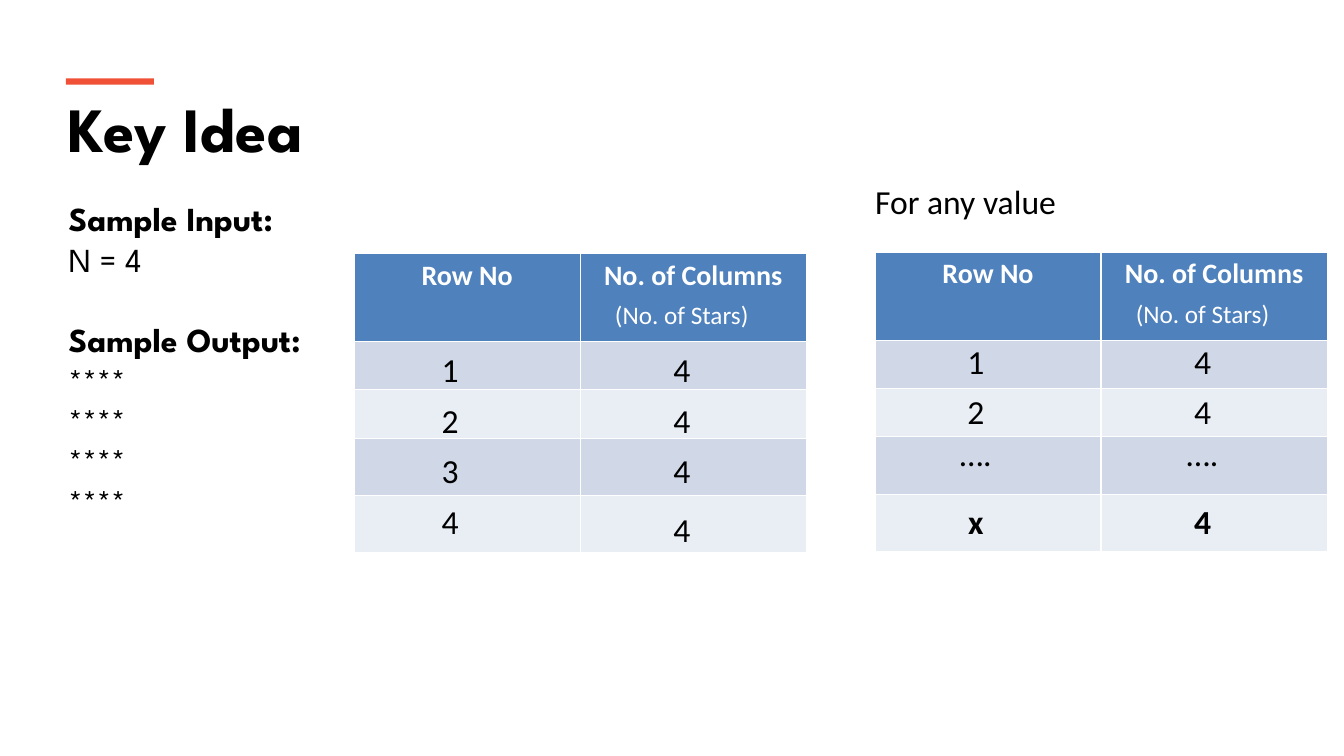
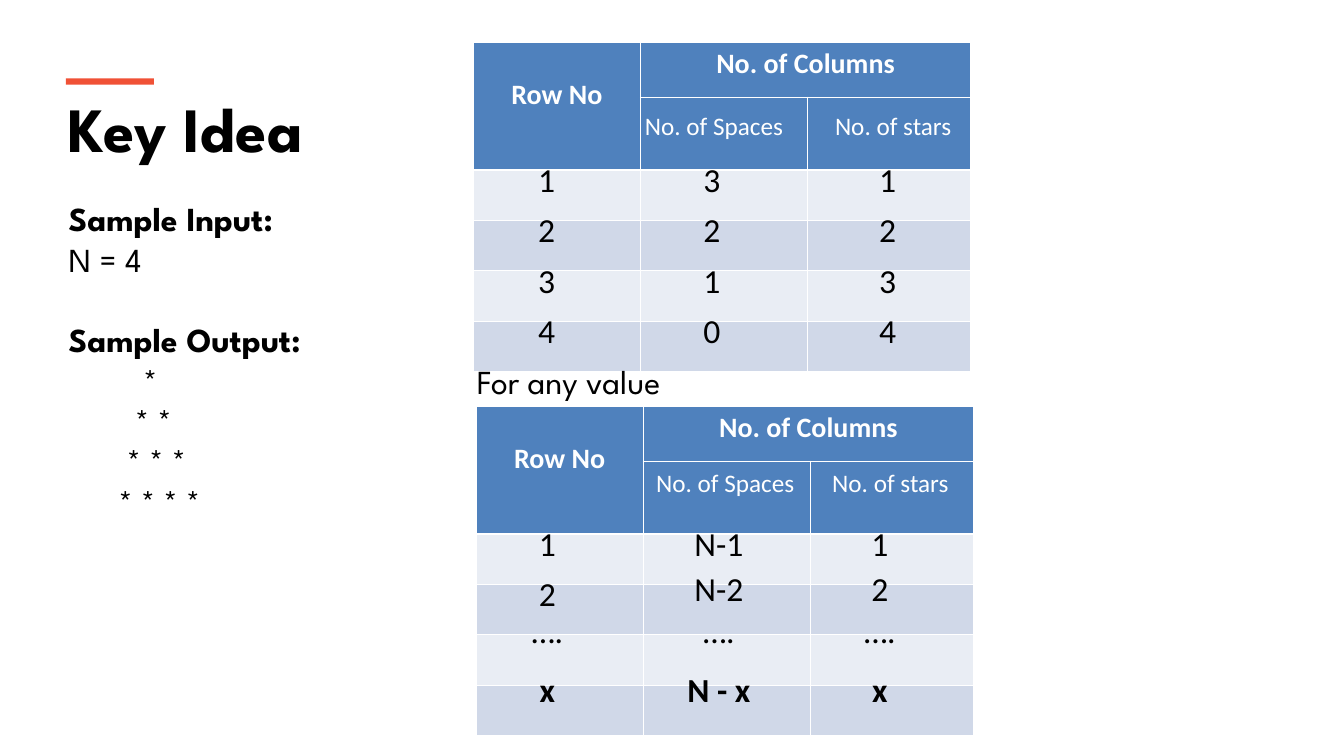
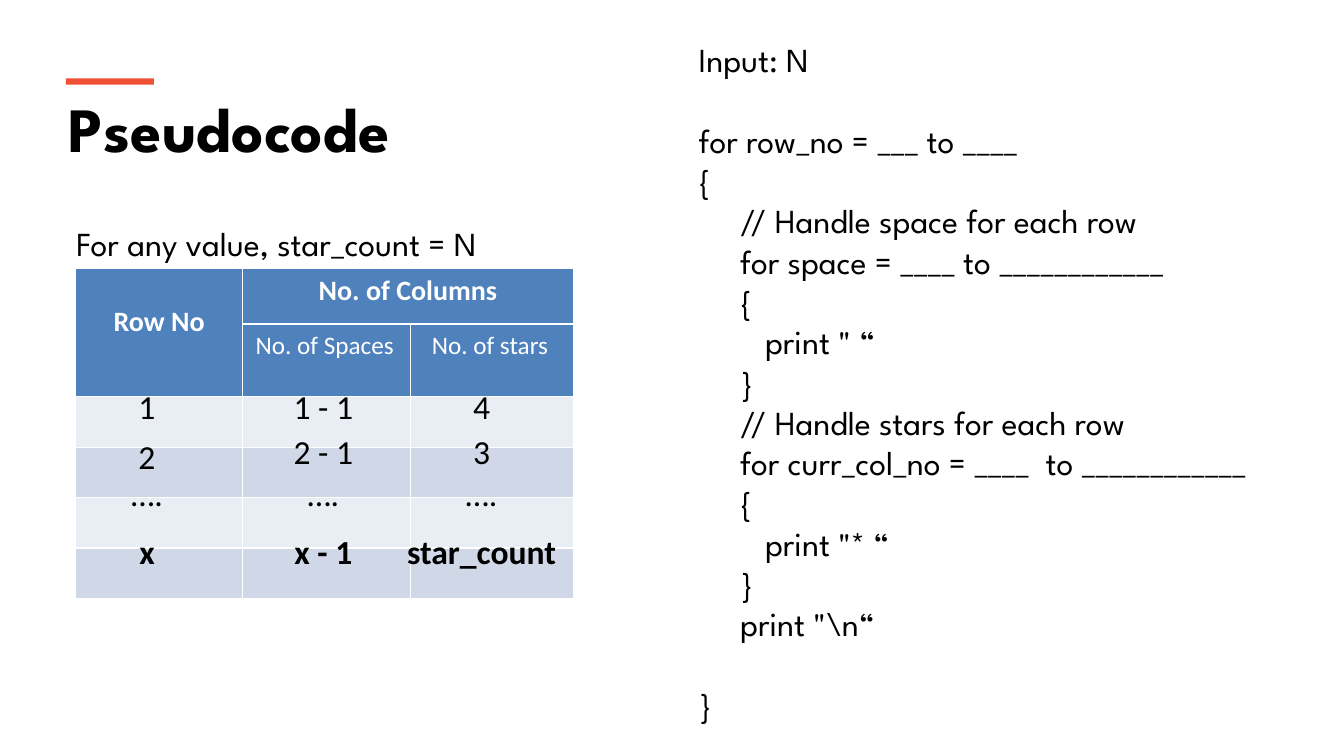
import pptx
import pptx.util
import pptx.dml.color
import pptx.enum.shapes
import pptx.enum.text

Pt = pptx.util.Pt
ALIGN = pptx.enum.text.PP_ALIGN
ANCHOR = pptx.enum.text.MSO_ANCHOR
SIZE = pptx.enum.text.MSO_AUTO_SIZE

HUES = {
    "ink": "000000",
    "white": "FFFFFF",
    "accent": "F05136",
    "head": "4F81BD",
    "dark": "D0D8E8",
    "light": "E9EDF4",
}
BRAND = "League Spartan"
PLAIN = "Calibri"


def hue(name):
    return pptx.dml.color.RGBColor.from_string(HUES[name])


def write(frame, text, font=PLAIN, size=24, color="ink", bold=False,
          align=ALIGN.LEFT, heads=(), gap=29):
    lines = text.split("\n") if isinstance(text, str) else text
    para, space = None, 0
    for line in lines:
        if not line:
            space = gap
            continue
        para = frame.add_paragraph() if para else frame.paragraphs[0]
        para.alignment = align
        if space:
            para.space_before = Pt(space)
            space = 0
        run = para.add_run()
        run.text = line
        run.font.name = font
        run.font.size = Pt(size)
        run.font.bold = bold or line in heads
        run.font.color.rgb = hue(color)


class Deck:
    def __init__(self):
        self.show = pptx.Presentation()
        self.show.slide_width = Pt(960)
        self.show.slide_height = Pt(540)

    def page(self, title):
        self.slide = self.show.slides.add_slide(self.show.slide_layouts[5])
        self.shapes = self.slide.shapes
        head = self.shapes.title
        head.left, head.top, head.width, head.height = map(Pt, (42, 60.5, 877, 62))
        frame = head.text_frame
        frame.auto_size = SIZE.NONE
        frame.vertical_anchor = ANCHOR.TOP
        write(frame, title, font=BRAND, size=45, bold=True)
        bar = self.shapes.add_shape(
            pptx.enum.shapes.MSO_SHAPE.RECTANGLE, Pt(47), Pt(56), Pt(63), Pt(4.5))
        bar.shadow.inherit = False
        bar.fill.solid()
        bar.fill.fore_color.rgb = hue("accent")
        bar.line.fill.background()

    def text(self, x, y, w, h, text, **style):
        box = self.shapes.add_textbox(Pt(x), Pt(y), Pt(w), Pt(h))
        box.text_frame.word_wrap = True
        write(box.text_frame, text, **style)

    def sample(self, stars):
        heads = ("Sample Input:", "Sample Output:")
        lines = [heads[0], "N = 4", "", heads[1], *stars]
        self.text(42, 138, 250, 269, lines, font=BRAND, heads=heads)

    def grid(self, x, y, cols, rows, heads, bands):
        table = self.shapes.add_table(
            len(rows), len(cols), Pt(x), Pt(y), Pt(sum(cols)), Pt(sum(rows))).table
        table.horz_banding = False
        for col, w in zip(table.columns, cols):
            col.width = Pt(w)
        for i, h in enumerate(rows):
            table.rows[i].height = Pt(h)
            tint = "head" if i < heads else bands[(i - heads) % 2]
            for cell in table.rows[i].cells:
                cell.fill.solid()
                cell.fill.fore_color.rgb = hue(tint)
        for i, name in enumerate(("Row No", "No. of Columns")):
            write(table.cell(0, i).text_frame, name, size=20, color="white",
                  bold=True, align=ALIGN.CENTER)
        return table

    def label(self, mid, y, text):
        self.text(mid - 65, y, 130, 29, text, size=18, color="white",
                  align=ALIGN.CENTER)

    def column(self, mid, tops, words, last):
        for i, (top, word) in enumerate(zip(tops, words)):
            self.text(mid - 65, top, 130, 36, word, align=ALIGN.CENTER,
                      bold=last and i == len(words) - 1)

    def columns(self, x, y, mids, tops, words, last):
        for mid, ys, col in zip(mids, tops, words):
            self.column(x + mid, [y + top for top in ys], col, last)

    def pair(self, x, y, mids, tops, words, last=False):
        self.grid(x, y, [161.5] * 2, [63, 34.5, 34.5, 41, 41], 1, ("dark", "light"))
        self.label(x + mids[1], y + 29.5, "(No. of Stars)")
        self.columns(x, y, mids, tops, words, last)

    def split(self, x, y, mids, tops, words, subs=(178, 296), drop=40, last=False):
        table = self.grid(x, y, [119.5, 119.5, 116.5], [39.5, 52] + [36] * 4, 2,
                          ("light", "dark"))
        table.cell(0, 0).merge(table.cell(1, 0))
        table.cell(0, 1).merge(table.cell(0, 2))
        table.cell(0, 0).margin_top = Pt(25.5)
        table.cell(0, 0).margin_bottom = Pt(0)
        for mid, name in zip(subs, ("No. of Spaces", "No. of stars")):
            self.label(x + mid, y + drop, name)
        self.columns(x, y, mids, tops, words, last)


CODE = r"""
 Input: N

 for row_no = ___ to ____
 {
      // Handle space for each row
      for space = ____ to ____________
      {
         print " “
      }
      // Handle stars for each row
      for curr_col_no = ____  to ____________
      {
         print "* “
      }
      print "\n“

 }
""".strip("\n")

DOTS = "…."
COUNT = ["1", "2", "3", "4"]
ANY = ["1", "2", DOTS, "x"]


def main():
    deck = Deck()

    deck.page("Key Idea")
    deck.sample(["****"] * 4)
    deck.pair(253, 181, (68.5, 234), ([65, 101, 137, 173], [65, 101, 137, 179]),
              (COUNT, ["4"] * 4))
    deck.text(618, 126, 216, 36, "For any value")
    deck.pair(625, 180, (72, 234), [[60, 96, 126, 174]] * 2,
              (ANY, ["4", "4", DOTS, "4"]), last=True)

    tight = [80, 112, 142, 184]
    tops = ([80, 116, 142, 184], tight, tight)

    deck.page("Key Idea")
    deck.sample([" " * (9 - i) + " ".join("*" * (i + 1)) for i in range(4)])
    deck.split(338, 30, (52.5, 170.5, 296), [range(80, 189, 36)] * 3,
               (COUNT, ["3", "2", "1", "0"], COUNT), subs=(172, 300), drop=45)
    deck.text(333.5, 254, 200, 36, "For any value", font=BRAND)
    deck.split(340, 290, (51, 173.5, 288.5), tops,
               (ANY, ["N-1", "N-2", DOTS, "N - x"], ANY), last=True)

    deck.page("Pseudocode")
    deck.text(486, 24, 450, 505, CODE, font=BRAND)
    deck.text(47.5, 156, 340, 36, "For any value, star_count = N", font=BRAND)
    deck.split(54, 192, (51, 177, 290), tops,
               (ANY, ["1 - 1", "2 - 1", DOTS, "x - 1"],
                ["4", "3", DOTS, "star_count"]), last=True)

    deck.show.save("out.pptx")


if __name__ == "__main__":
    main()
